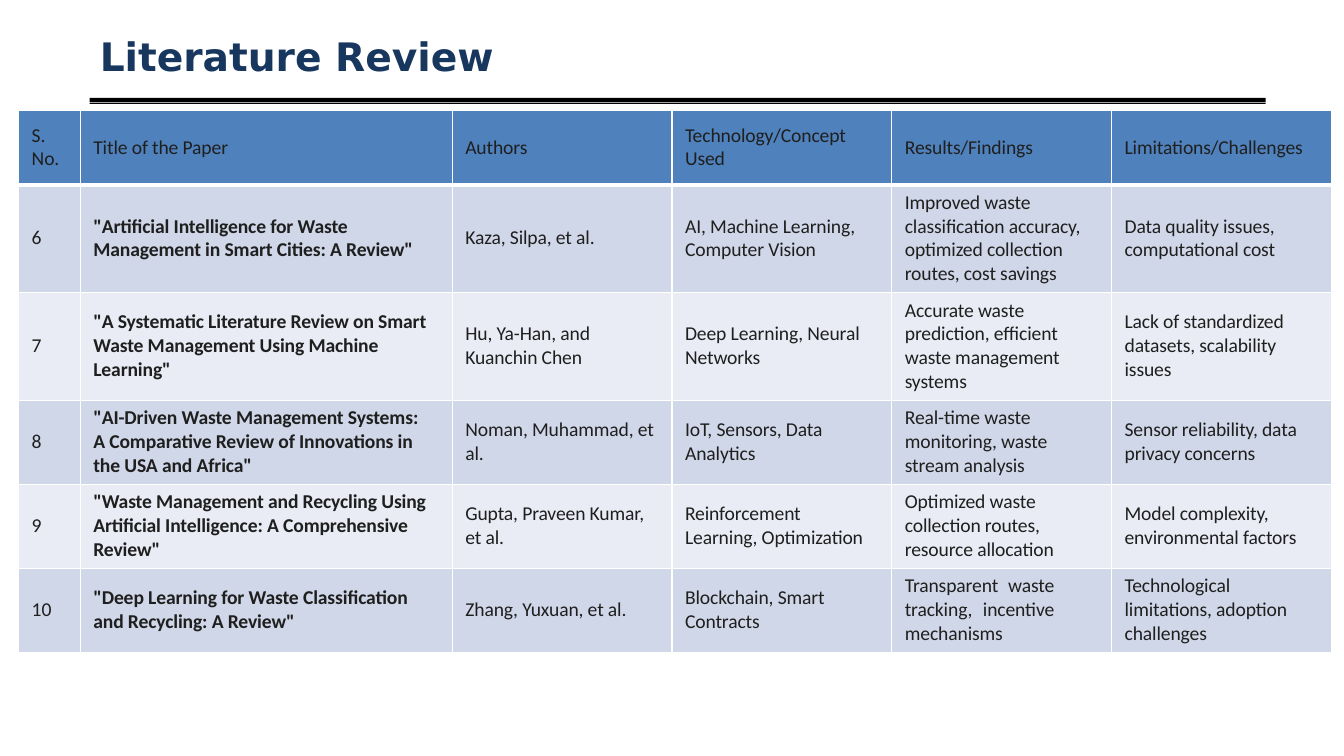
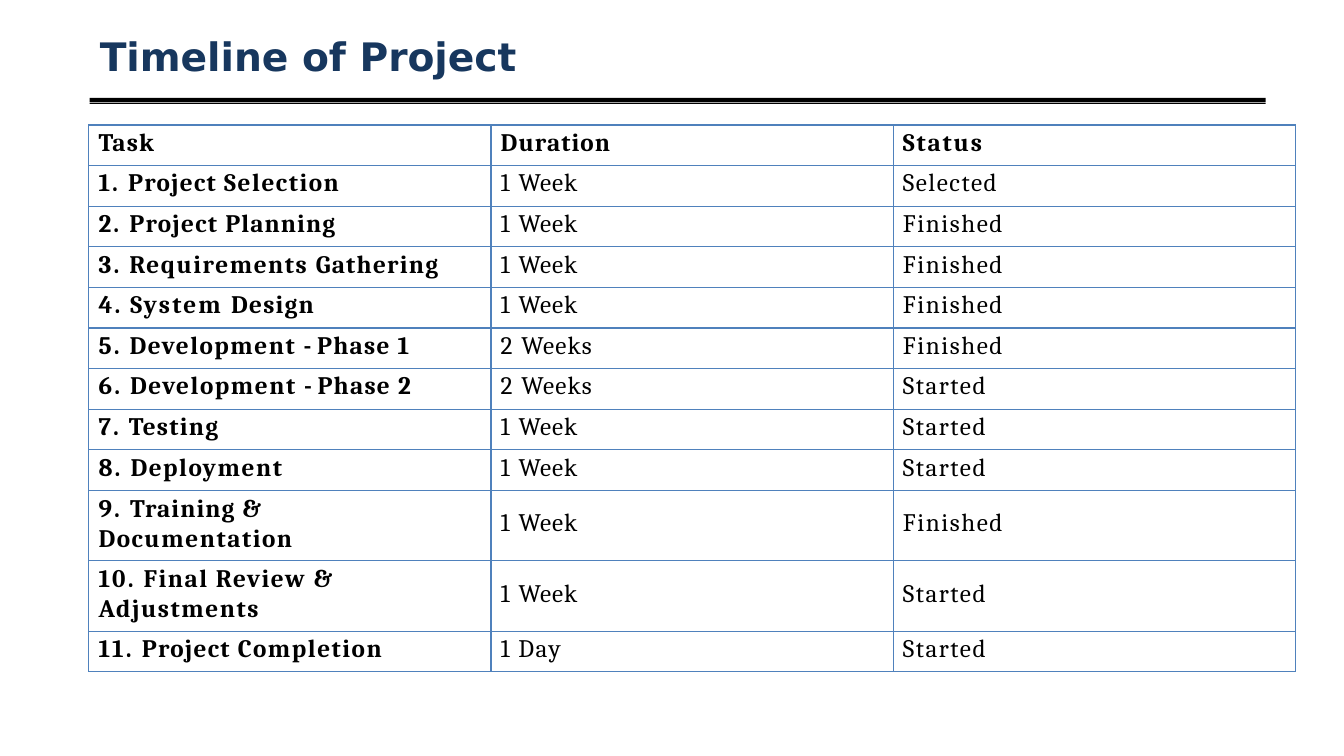
from dataclasses import dataclass
from itertools import groupby

from lxml.etree import SubElement as Sub
from pptx import Presentation
from pptx.dml.color import RGBColor as RGB
from pptx.enum.shapes import MSO_SHAPE as Shape
from pptx.enum.text import MSO_ANCHOR as Anchor, PP_ALIGN as Align
from pptx.oxml.ns import qn
from pptx.util import Pt


@dataclass(frozen=True)
class Theme:
    # Colours
    navy: str = "17375E"
    black: str = "000000"
    white: str = "FFFFFF"
    ink: str = "1F1F1F"
    blue: str = "4F81BC"
    bands: tuple = ("D0D7E8", "E9ECF4")
    # Fonts and sizes
    head: str = "DejaVu Sans"
    body: str = "Calibri"
    serif: str = "Cambria"
    head_size: float = 28
    body_size: float = 14
    plan_size: float = 18


T = Theme()

# Literature table: column widths, right margins and row heights
LIT_COLS = [44, 265.7, 157, 157, 157, 157]
LIT_GAPS = [0, 14, 8, 16, 20, 17]
LIT_ROWS = [53, 77, 77, 60, 60, 60]
LIT = [
    ["S.\nNo.", "Title of the Paper", "Authors", "Technology/Concept Used",
     "Results/Findings", "Limitations/Challenges"],
    ["6", '"Artificial Intelligence for Waste Management in Smart Cities: A Review"',
     "Kaza, Silpa, et al.", "AI, Machine Learning, Computer Vision",
     "Improved waste classification accuracy, optimized collection routes, cost savings",
     "Data quality issues, computational cost"],
    ["7", '"A Systematic Literature Review on Smart Waste Management Using Machine Learning"',
     "Hu, Ya-Han, and Kuanchin Chen", "Deep Learning, Neural Networks",
     "Accurate waste prediction, efficient waste management systems",
     "Lack of standardized datasets, scalability issues"],
    ["8", '"AI-Driven Waste Management Systems: A Comparative Review of Innovations in '
     'the USA and Africa"',
     "Noman, Muhammad, et al.", "IoT, Sensors, Data Analytics",
     "Real-time waste monitoring, waste stream analysis",
     "Sensor reliability, data privacy concerns"],
    ["9", '"Waste Management and Recycling Using Artificial Intelligence: '
     'A Comprehensive Review"',
     "Gupta, Praveen Kumar, et al.", "Reinforcement Learning, Optimization",
     "Optimized waste collection routes, resource allocation",
     "Model complexity, environmental factors"],
    ["10", '"Deep Learning for Waste Classification and Recycling: A Review"',
     "Zhang, Yuxuan, et al.", "Blockchain, Smart Contracts",
     "Transparent waste tracking, incentive mechanisms",
     "Technological limitations, adoption challenges"],
]

# Project plan: tasks are numbered in order
PLAN_HEAD = ["Task", "Duration", "Status"]
PLAN = [
    ("Project Selection", "1 Week", "Selected"),
    ("Project Planning", "1 Week", "Finished"),
    ("Requirements Gathering", "1 Week", "Finished"),
    ("System Design", "1 Week", "Finished"),
    ("Development - Phase 1", "2 Weeks", "Finished"),
    ("Development - Phase 2", "2 Weeks", "Started"),
    ("Testing", "1 Week", "Started"),
    ("Deployment", "1 Week", "Started"),
    ("Training & Documentation", "1 Week", "Finished"),
    ("Final Review & Adjustments", "1 Week", "Started"),
    ("Project Completion", "1 Day", "Started"),
]

# Letter spacing of single words in the plan; numbered labels and the rest follow
SPACE = {"&": 0.3, "-": 0, "Week": 0.6, "Weeks": 0.8, "Task": 0.8, "Duration": 0.8,
         "Status": 1.3, "Project": 0.9, "Planning": 0.8, "Gathering": 0.9, "System": 1.6,
         "Design": 0.9, "Phase": 0.9, "Testing": 0.9, "Training": 0.8}


def space_of(word):
    return SPACE.get(word.strip(), 1.6 if word.strip().endswith(".") else 1.1)


def style(font, name, size, color, bold=False):
    font.name, font.size, font.bold = name, Pt(size), bold
    font.color.rgb = RGB.from_string(color)


def track(font, points):
    font._rPr.set("spc", str(round(points * 100)))


def edge(cell, side, color, width):
    line = Sub(cell._tc.get_or_add_tcPr(), qn(f"a:ln{side}"), w=str(Pt(width)))
    Sub(Sub(line, qn("a:solidFill")), qn("a:srgbClr"), val=color)


def frame(cell, color, top=1, foot=1):
    for side, width in zip("LRTB", (1, 1, top, foot)):
        edge(cell, side, color, width)


def inset(cell, left, right, foot):
    cell.margin_left, cell.margin_right = Pt(left), Pt(right)
    cell.margin_top, cell.margin_bottom = Pt(0), Pt(foot)
    cell.vertical_anchor = Anchor.MIDDLE


def add_grid(slide, left, top, cols, rows):
    grid = slide.shapes.add_table(len(rows), len(cols), Pt(left), Pt(top),
                                  Pt(sum(cols)), Pt(sum(rows))).table
    grid.first_row = grid.horz_banding = False
    for col, width in zip(grid.columns, cols):
        col.width = Pt(width)
    for row, height in zip(grid.rows, rows):
        row.height = Pt(height)
    return grid


def add_page(deck, title):
    slide = deck.slides.add_slide(deck.slide_layouts[6])
    # Double rule: thick over thin
    for top, height in ((70, 2.8), (73.4, 0.8)):
        bar = slide.shapes.add_shape(Shape.RECTANGLE, Pt(64), Pt(top), Pt(840), Pt(height))
        bar.shadow.inherit = False
        bar.fill.solid()
        bar.fill.fore_color.rgb = RGB.from_string(T.black)
        bar.line.fill.background()
    # Title
    text = slide.shapes.add_textbox(Pt(71.3), Pt(23), Pt(505), Pt(36)).text_frame
    text.margin_left = text.margin_right = text.margin_top = text.margin_bottom = 0
    text.word_wrap = True
    par = text.paragraphs[0]
    par.text = title
    style(par.font, T.head, T.head_size, T.navy, True)
    return slide


def add_lit(slide):
    grid = add_grid(slide, 13.3, 79.2, LIT_COLS, LIT_ROWS)
    for r, row in enumerate(LIT):
        for c, words in enumerate(row):
            cell = grid.cell(r, c)
            inset(cell, 9.4, LIT_GAPS[c], 1)
            frame(cell, T.white, 3 if r == 1 else 1, 3 if r == 0 else 1)
            cell.fill.solid()
            cell.fill.fore_color.rgb = RGB.from_string(T.bands[(r - 1) % 2] if r else T.blue)
            cell.text = words
            for par in cell.text_frame.paragraphs:
                style(par.font, T.body, T.body_size, T.ink, r > 0 and c == 1)
                track(par.font, -0.1)
    # The last finding is justified in a narrower measure
    last = grid.cell(len(LIT) - 1, 4)
    last.margin_right = Pt(41)
    last.text_frame.paragraphs[0].alignment = Align.JUSTIFY


def add_plan(slide):
    tasks = [(f"{n}. {task}", *rest) for n, (task, *rest) in enumerate(PLAN, 1)]
    data = [PLAN_HEAD, *tasks]
    tall = [len(row[0]) > 26 for row in data]
    grid = add_grid(slide, 63.4, 89.3, [287.3] * 3, [50.3 if t else 29 for t in tall])
    for r, row in enumerate(data):
        for c, words in enumerate(row):
            cell = grid.cell(r, c)
            inset(cell, 7, 0 if c else 33, 3)
            frame(cell, T.blue)
            cell.fill.background()
            par = cell.text_frame.paragraphs[0]
            style(par.font, T.serif, T.plan_size, T.black, r == 0 or c == 0)
            if tall[r] and c == 0:
                par.line_spacing = Pt(21.4)
            # One run for each stretch of equal letter spacing
            parts = words.replace(" ", " \n").split("\n")
            for points, group in groupby(parts, space_of):
                run = par.add_run()
                run.text = "".join(group)
                track(run.font, points)


def main():
    deck = Presentation()
    deck.slide_width, deck.slide_height = Pt(960), Pt(540)
    add_lit(add_page(deck, "Literature Review"))
    add_plan(add_page(deck, "Timeline of Project"))
    deck.save("out.pptx")


if __name__ == "__main__":
    main()
